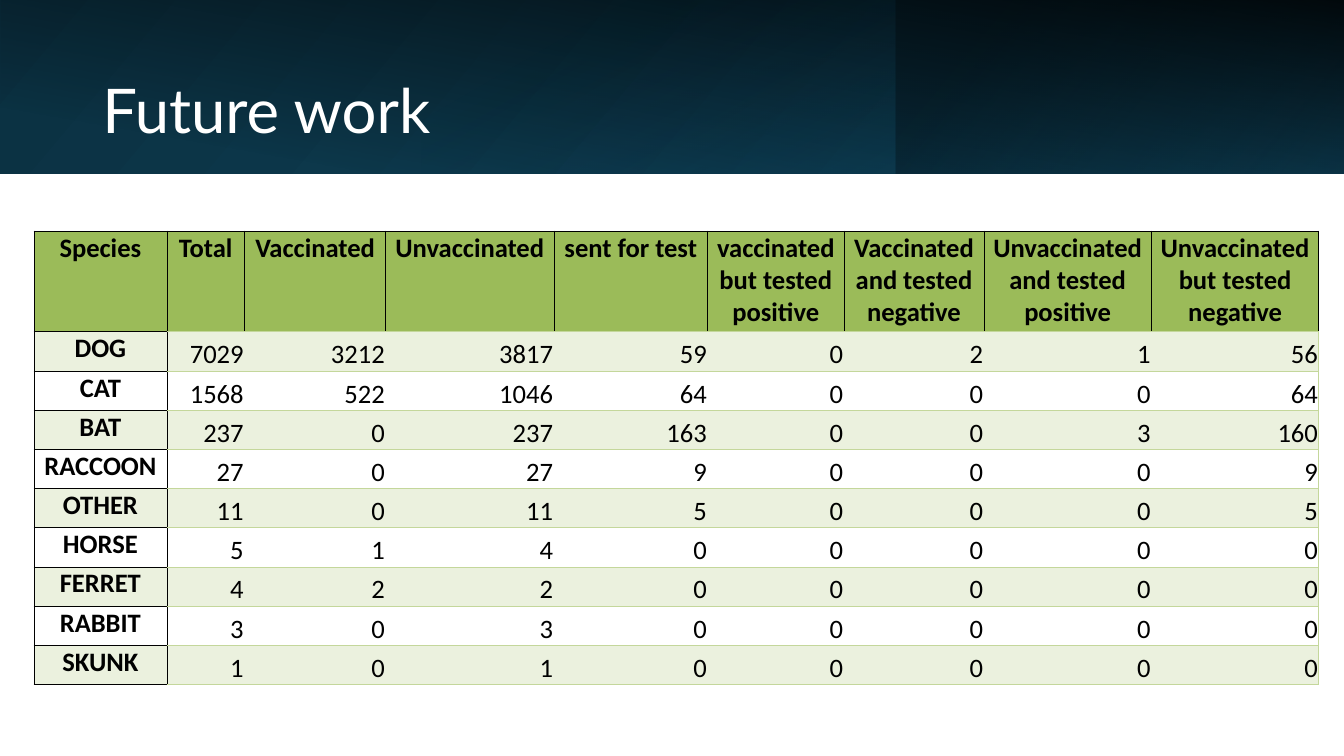
from dataclasses import dataclass

from lxml import etree
from pptx import Presentation
from pptx.dml.color import RGBColor
from pptx.enum.shapes import MSO_SHAPE
from pptx.enum.text import MSO_ANCHOR, PP_ALIGN
from pptx.oxml.ns import qn
from pptx.util import Pt

RECT = MSO_SHAPE.RECTANGLE
TOP, MIDDLE, BOTTOM = MSO_ANCHOR.TOP, MSO_ANCHOR.MIDDLE, MSO_ANCHOR.BOTTOM
LEFT, CENTER, RIGHT = PP_ALIGN.LEFT, PP_ALIGN.CENTER, PP_ALIGN.RIGHT


@dataclass(frozen=True)
class Theme:
    title_font: str = "Lato"
    table_font: str = "Calibri"
    title_size: float = 44
    table_size: float = 19
    white: str = "FFFFFF"
    black: str = "000000"
    navy: str = "0B3041"
    deep_teal: str = "104862"
    teal: str = "156082"
    header: str = "9BBB59"
    band: str = "EBF1DE"
    rule: str = "C4D79B"
    rule_width: float = 0.5


class Deck:
    def __init__(self, theme, width, height):
        self.theme = theme
        self.prs = Presentation()
        self.prs.slide_width, self.prs.slide_height = Pt(width), Pt(height)
        self.s = self.prs.slides.add_slide(self.prs.slide_layouts[6])

    def gradient_rect(self, box, stops, angle, rotation=0, flip=False):
        sp = self.s.shapes.add_shape(RECT, *map(Pt, box))
        sp.shadow.inherit = False
        sp.line.fill.background()
        sp.rotation = rotation
        spPr = sp._element.spPr
        if flip:
            spPr.find(qn("a:xfrm")).set("flipH", "1")
        sp.fill.gradient()
        sp.fill.gradient_angle = 360 - angle
        for stop, (position, color, _) in zip(sp.fill.gradient_stops, stops):
            stop.position = position / 100
            stop.color.rgb = RGBColor.from_string(color)
        for clr, (_, _, alpha) in zip(spPr.iter(qn("a:srgbClr")), stops):
            etree.SubElement(clr, qn("a:alpha")).set("val", str(alpha * 1000))

    def run(self, p, text, font, size, color, bold=False, align=LEFT):
        p.alignment = align
        r = p.add_run()
        r.text = text
        r.font.name, r.font.size, r.font.bold = font, Pt(size), bold
        r.font.color.rgb = RGBColor.from_string(color)

    def title(self, box, text):
        t = self.theme
        tf = self.s.shapes.add_textbox(*map(Pt, box)).text_frame
        tf.word_wrap = True
        tf.vertical_anchor = MIDDLE
        p = tf.paragraphs[0]
        p.line_spacing = 0.9
        self.run(p, text, t.title_font, t.title_size, t.white)

    def borders(self, cell, left, right, top, bottom):
        tcPr = cell._tc.get_or_add_tcPr()
        for side, color in zip("LRTB", (left, right, top, bottom)):
            ln = etree.SubElement(tcPr, qn(f"a:ln{side}"))
            ln.set("w", str(Pt(self.theme.rule_width)))
            if color:
                fill = etree.SubElement(ln, qn("a:solidFill"))
                etree.SubElement(fill, qn("a:srgbClr")).set("val", color)
            else:
                etree.SubElement(ln, qn("a:noFill"))

    def cell(self, cell, text, fill, edges, bold, align, anchor):
        t = self.theme
        self.borders(cell, *edges)
        if fill:
            cell.fill.solid()
            cell.fill.fore_color.rgb = RGBColor.from_string(fill)
        else:
            cell.fill.background()
        cell.margin_left = cell.margin_right = cell.margin_top = Pt(0.7)
        cell.margin_bottom = 0
        cell.vertical_anchor = anchor
        p = cell.text_frame.paragraphs[0]
        self.run(p, text, t.table_font, t.table_size, t.black, bold, align)

    def table(self, left, top, widths, heights, rows):
        t = self.theme
        frame = self.s.shapes.add_table(
            len(heights), len(widths), Pt(left), Pt(top), Pt(sum(widths)), Pt(sum(heights)))
        tbl = frame.table
        tbl.horz_banding = False
        for column, width in zip(tbl.columns, widths):
            column.width = Pt(width)
        for row, height in zip(tbl.rows, heights):
            row.height = Pt(height)
        last = len(widths) - 1
        for i, values in enumerate(rows):
            fill = t.header if i == 0 else t.band if i % 2 else None
            for j, value in enumerate(values):
                if j == 0:
                    edges = (t.black,) * 4
                elif i == 0:
                    edges = (t.black, t.black, t.black, t.rule)
                else:
                    edges = (t.black if j == 1 else None,
                             t.rule if j == last else None, t.rule, t.rule)
                label = i == 0 or j == 0
                align, anchor = (CENTER, TOP) if label else (RIGHT, BOTTOM)
                self.cell(tbl.cell(i, j), str(value), fill, edges, label, align, anchor)


HEADINGS = [
    "Species", "Total", "Vaccinated", "Unvaccinated", "sent for test",
    "vaccinated but tested positive", "Vaccinated and tested negative",
    "Unvaccinated and tested positive", "Unvaccinated but tested negative",
]
SPECIES = [
    ["DOG", 7029, 3212, 3817, 59, 0, 2, 1, 56],
    ["CAT", 1568, 522, 1046, 64, 0, 0, 0, 64],
    ["BAT", 237, 0, 237, 163, 0, 0, 3, 160],
    ["RACCOON", 27, 0, 27, 9, 0, 0, 0, 9],
    ["OTHER", 11, 0, 11, 5, 0, 0, 0, 5],
    ["HORSE", 5, 1, 4, 0, 0, 0, 0, 0],
    ["FERRET", 4, 2, 2, 0, 0, 0, 0, 0],
    ["RABBIT", 3, 0, 3, 0, 0, 0, 0, 0],
    ["SKUNK", 1, 0, 1, 0, 0, 0, 0, 0],
]


def main():
    t = Theme()
    width, banner = 960, 124
    offset = (width - banner) / 2
    deck = Deck(t, width, 540)
    deck.gradient_rect((0, 0, width, banner),
                       [(0, t.navy, 100), (100, t.deep_teal, 100)], 140, flip=True)
    deck.gradient_rect((640, 0, 320, banner),
                       [(19, t.navy, 68), (100, t.teal, 79)], 320, 180, True)
    deck.gradient_rect((offset, -offset, banner, width),
                       [(16, t.black, 0), (99, t.black, 87)], 190, 90)
    deck.gradient_rect((301, 0, 339, banner),
                       [(0, t.teal, 17), (74, t.navy, 0)], 240)
    deck.title((66, 28.8, 828, 104.4), "Future work")
    deck.table(24.2, 165, [95, 55.5, 100.8, 120.2, 109.8, 97.4, 100, 119.6, 119.6],
               [72] + [28] * len(SPECIES), [HEADINGS] + SPECIES)
    deck.prs.save("out.pptx")


if __name__ == "__main__":
    main()
